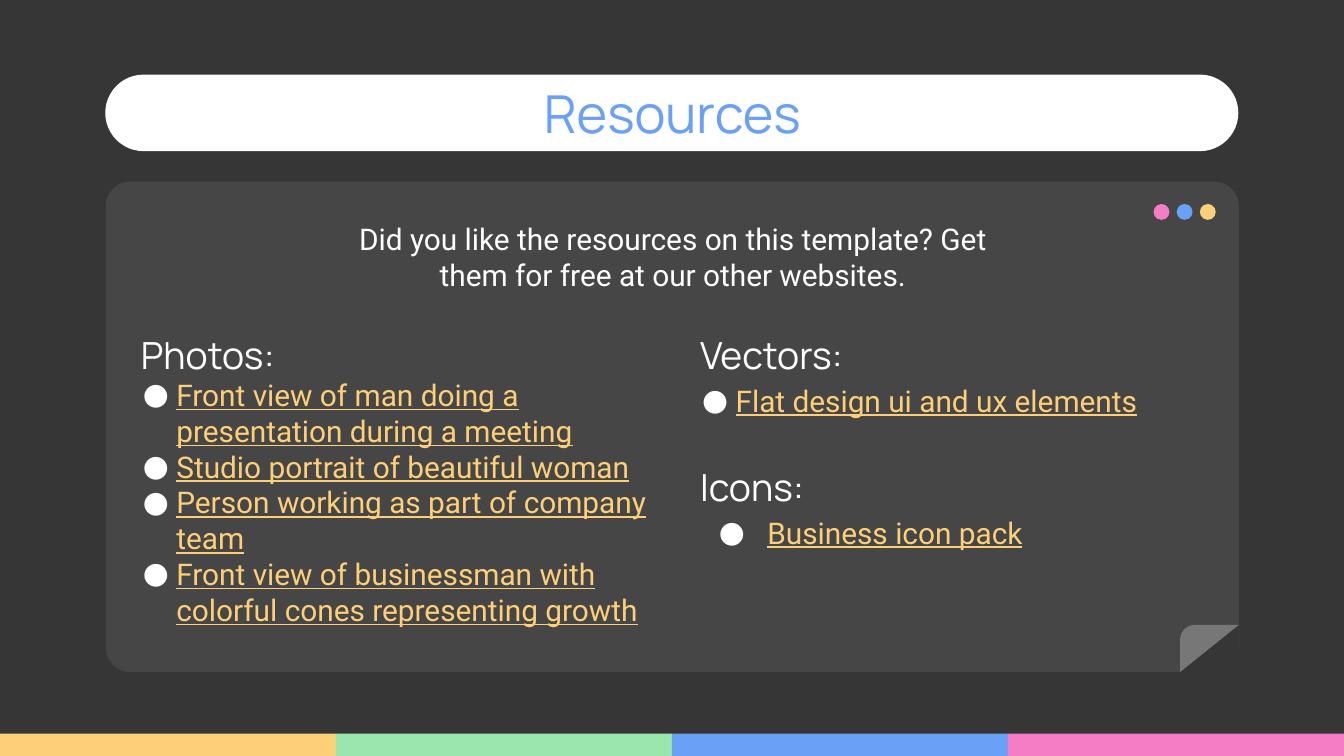
"""Build the resources slide: a title pill, a note card and lists of links."""
from math import cos, pi, sin

from lxml.etree import SubElement
from pptx import Presentation
from pptx.dml.color import RGBColor
from pptx.enum.shapes import MSO_SHAPE
from pptx.enum.text import MSO_ANCHOR, PP_ALIGN
from pptx.oxml.ns import qn
from pptx.util import Pt

DARK = RGBColor(0x36, 0x36, 0x36)
CARD = RGBColor(0x46, 0x46, 0x46)
FOLD = RGBColor(0x77, 0x77, 0x77)
WHITE = RGBColor(0xFF, 0xFF, 0xFF)
GOLD = RGBColor(0xFC, 0xCF, 0x78)
GREEN = RGBColor(0x9A, 0xE6, 0xAE)
BLUE = RGBColor(0x6A, 0xA1, 0xF7)
PINK = RGBColor(0xF5, 0x7D, 0xC6)


class Canvas:
    head = "Manrope"
    body = "Roboto"

    def __init__(self, slide):
        self.slide = slide
        fill = slide.background.fill
        fill.solid()
        fill.fore_color.rgb = DARK

    def paint(self, shape, color):
        shape.shadow.inherit = False
        shape.fill.solid()
        shape.fill.fore_color.rgb = color
        shape.line.fill.background()

    def shape(self, kind, box, color, round=None):
        item = self.slide.shapes.add_shape(kind, *map(Pt, box))
        self.paint(item, color)
        if round is not None:
            item.adjustments[0] = round
        return item

    def outline(self, points, color):
        spots = [(Pt(x), Pt(y)) for x, y in points]
        pen = self.slide.shapes.build_freeform(*spots[0])
        pen.add_line_segments(spots[1:])
        self.paint(pen.convert_to_shape(), color)

    def frame(self, box, anchor=MSO_ANCHOR.TOP):
        frame = self.slide.shapes.add_textbox(*map(Pt, box)).text_frame
        frame.word_wrap = True
        frame.vertical_anchor = anchor
        frame.margin_left = frame.margin_right = Pt(7.2)
        frame.margin_top = frame.margin_bottom = Pt(7.2)
        return frame

    def run(self, para, text, font, size, color, under=False):
        run = para.add_run()
        run.text = text
        run.font.name = font
        run.font.size = Pt(size)
        run.font.color.rgb = color
        run.font.underline = under

    def line(self, box, text, font, size, color):
        para = self.frame(box, MSO_ANCHOR.MIDDLE).paragraphs[0]
        para.alignment = PP_ALIGN.CENTER
        self.run(para, text, font, size, color)

    def bullet(self, para, left, hang):
        props = para._p.get_or_add_pPr()
        props.set("marL", str(Pt(left)))
        props.set("indent", str(Pt(-hang)))
        tint = SubElement(props, qn("a:buClr"))
        SubElement(tint, qn("a:srgbClr"), val=str(WHITE))
        SubElement(props, qn("a:buFont"), typeface=self.body)
        SubElement(props, qn("a:buChar"), char="●")

    def lists(self, box, groups, gap):
        frame = self.frame(box)
        for index, (title, links, left, hang) in enumerate(groups):
            para = frame.add_paragraph() if index else frame.paragraphs[0]
            if index:
                para.space_before = Pt(24.5)
            self.run(para, title, self.head, 20, WHITE)
            for link in links:
                para = frame.add_paragraph()
                self.bullet(para, left, hang)
                para.space_before = Pt(gap)
                self.run(para, link, self.body, 16, GOLD, True)


def main():
    deck = Presentation()
    deck.slide_width, deck.slide_height = Pt(720), Pt(405)
    art = Canvas(deck.slides.add_slide(deck.slide_layouts[6]))

    for index, color in enumerate((GOLD, GREEN, BLUE, PINK)):
        art.shape(MSO_SHAPE.RECTANGLE, (index * 180, 393, 180, 12), color)

    art.shape(MSO_SHAPE.ROUNDED_RECTANGLE, (56.4, 40, 607, 41), WHITE, 0.5)
    art.shape(MSO_SHAPE.ROUNDED_RECTANGLE, (56.7, 97.3, 607, 262.7), CARD, 0.05)
    for index, color in enumerate((PINK, BLUE, GOLD)):
        box = (618 + index * 12.4, 109.3, 8.5, 8.5)
        art.shape(MSO_SHAPE.OVAL, box, color)

    left, top, right, foot, bend = 632.2, 334.8, 663.6, 360, 8
    art.outline([(left, foot), (right, top), (right, foot)], DARK)
    turns = [pi / 2 * step / 8 for step in range(9)]
    curve = [(left + bend - bend * sin(turn), top + bend - bend * cos(turn))
             for turn in turns]
    art.outline([(right, top), *curve, (left, foot)], FOLD)

    art.line((56.7, 42.5, 607, 36), "Resources", art.head, 28, BLUE)
    art.line((175, 116, 371, 43),
             "Did you like the resources on this template? "
             "Get them for free at our other websites.",
             art.body, 16, WHITE)

    photos = ("Front view of man doing a presentation during a meeting",
              "Studio portrait of beautiful woman",
              "Person working as part of company team",
              "Front view of businessman with colorful cones "
              "representing growth")
    art.lists((68.4, 170.6, 295, 173.5), [("Photos:", photos, 19, 18)], 0)
    art.lists((368, 170.6, 295, 173.5),
              [("Vectors:", ["Flat design ui and ux elements"], 19, 18),
               ("Icons:", ["Business icon pack"], 36, 26)], 3)

    deck.save("out.pptx")


if __name__ == "__main__":
    main()
